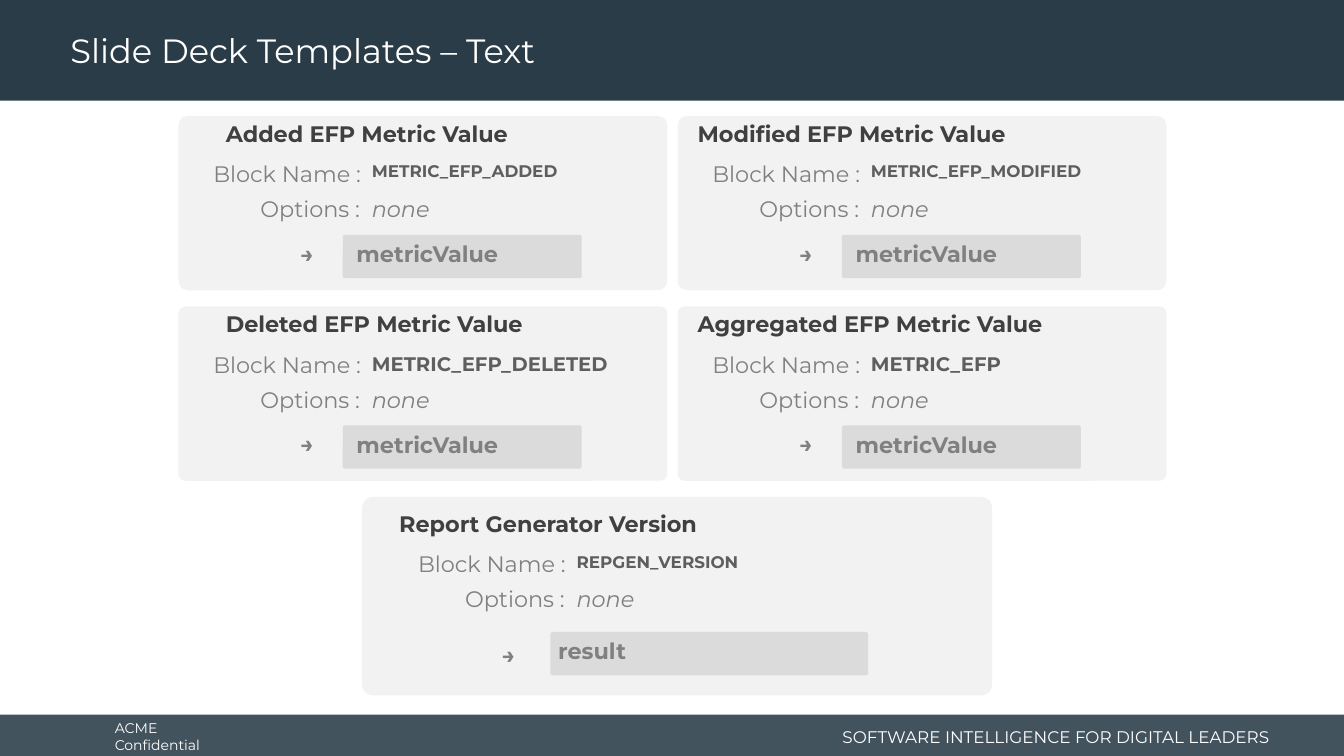
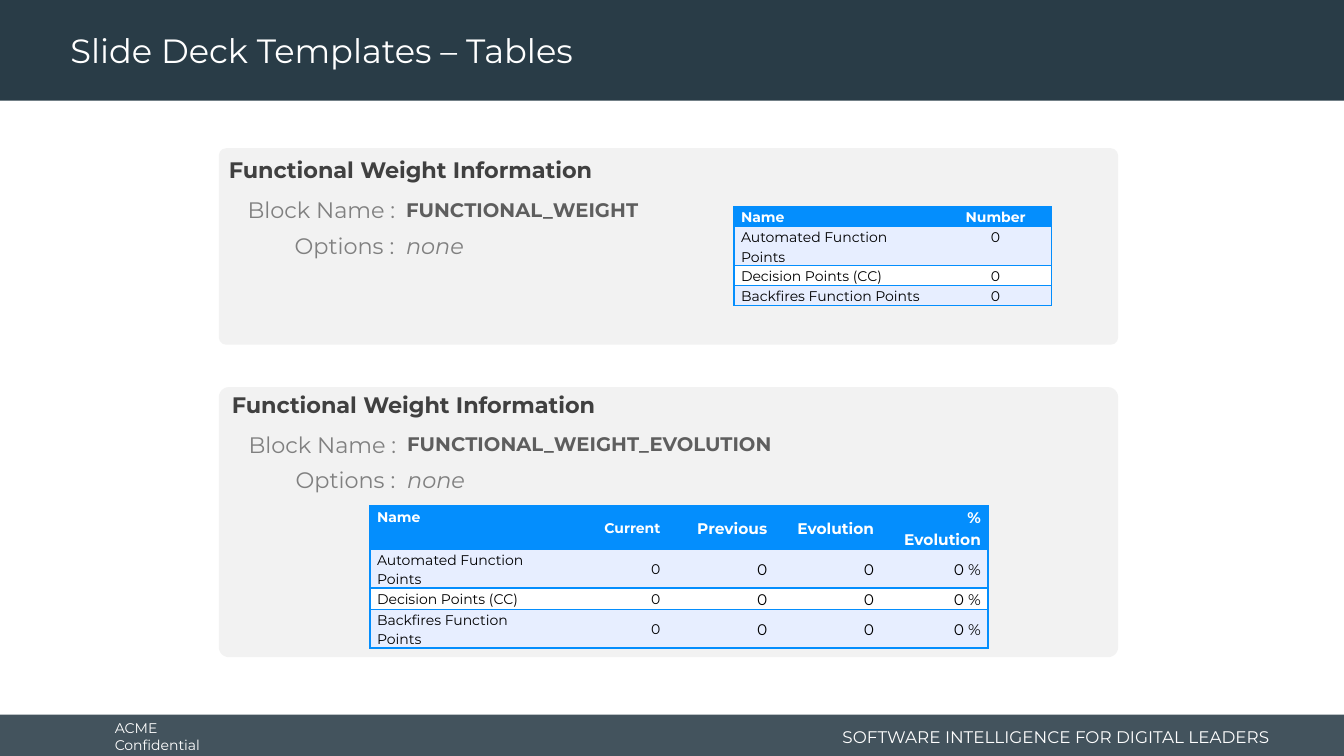
from lxml.etree import SubElement
from pptx import Presentation
from pptx.dml.color import RGBColor
from pptx.enum.shapes import MSO_SHAPE as Shape
from pptx.enum.text import MSO_ANCHOR as Anchor, PP_ALIGN as Align
from pptx.oxml import parse_xml
from pptx.oxml.ns import nsdecls, qn
from pptx.util import Inches, Pt

# Shared look
FONT = "Montserrat"
NAVY, WHITE, BLACK = "293C47", "FFFFFF", "000000"
PANEL, VALUE_FILL = "F2F2F2", "BFBFBF"
HEADING, CODE, MUTED = "404040", "5E5E5E", "808080"
BLUE, PALE_BLUE = "048EFD", "E7EEFF"
CONFIDENTIAL = "ACME Confidential"
SLOGAN = "SOFTWARE INTELLIGENCE FOR DIGITAL LEADERS"

# Slide 1: heading, block name, name size, heading indent; in reading order
METRICS = [
    ("Added EFP Metric Value", "METRIC_EFP_ADDED", 12, 0.27),
    ("Modified EFP Metric Value", "METRIC_EFP_MODIFIED", 12, 0),
    ("Deleted EFP Metric Value", "METRIC_EFP_DELETED", 14, 0.27),
    ("Aggregated EFP Metric Value", "METRIC_EFP", 14, 0),
]
METRIC_LEFT, METRIC_TOP = 1.77, 1.15
METRIC_SIZE = (4.85, 1.73)
METRIC_STEP = (4.95, 1.89)

VERSION = {
    "heading": "Report Generator Version", "block": "REPGEN_VERSION", "size": 12,
    "panel": (3.59, 4.93, 6.25, 1.97), "corner": 0.056,
    "heading_left": 3.76, "fields": (4.04, 5.41),
    "result": ("result", (4.88, 6.31), (5.46, 6.27, 3.15, 0.43), 0.07),
}

# Slide 2: cards, each with its table
WEIGHT = {
    "heading": "Functional Weight Information", "block": "FUNCTIONAL_WEIGHT", "size": 14,
    "panel": (2.17, 1.47, 8.92, 1.95), "corner": 0.038,
    "heading_left": 2.07, "fields": (2.35, 1.9),
}
WEIGHT_TABLE = {
    "place": (7.28, 2.05), "widths": [2.04, 1.11], "heights": [0.2, 0.38, 0.2, 0.2],
    "sizes": [10, 10], "align": Align.CENTER, "anchor": Anchor.TOP,
    "rows": [
        ("Name", "Number"),
        ("Automated Function Points", "0"),
        ("Decision Points (CC)", "0"),
        ("Backfires Function Points", "0"),
    ],
}
EVOLUTION = {
    "heading": "Functional Weight Information", "block": "FUNCTIONAL_WEIGHT_EVOLUTION",
    "size": 14, "panel": (2.17, 3.84, 8.92, 2.68), "corner": 0.038,
    "heading_left": 2.1, "fields": (2.36, 4.23),
}
EVOLUTION_TABLE = {
    "place": (3.67, 5.02), "widths": [1.89] + [1.06] * 4,
    "heights": [0.43, 0.38, 0.2, 0.38],
    "sizes": [10, 10, 11, 11, 11], "align": Align.RIGHT, "anchor": Anchor.MIDDLE,
    "rows": [
        ("Name", "Current", "Previous", "Evolution", "% Evolution"),
        ("Automated Function Points", "0", "0", "0", "0 %"),
        ("Decision Points (CC)", "0", "0", "0", "0 %"),
        ("Backfires Function Points", "0", "0", "0", "0 %"),
    ],
}


def rgb(colour):
    return RGBColor.from_string(colour)


def set_text(frame, text, size, colour, bold=False, italic=False,
             align=Align.LEFT, spacing=None):
    frame.text = text
    paragraph = frame.paragraphs[0]
    paragraph.alignment = align
    if spacing:
        paragraph.line_spacing = spacing
    font = paragraph.runs[0].font
    font.name, font.size, font.color.rgb = FONT, Pt(size), rgb(colour)
    font.bold, font.italic = bold, italic


def add_text(shapes, box, text, size, colour, wrap=True, anchor=Anchor.TOP,
             side=0.1, **style):
    frame = shapes.add_textbox(*map(Inches, box)).text_frame
    frame.word_wrap, frame.vertical_anchor = wrap, anchor
    frame.margin_left = frame.margin_right = Inches(side)
    set_text(frame, text, size, colour, **style)


def add_block(shapes, box, colour, kind=Shape.RECTANGLE, corner=None, opacity=None):
    block = shapes.add_shape(kind, *map(Inches, box))
    block.shadow.inherit = False
    block.line.fill.background()
    block.fill.solid()
    block.fill.fore_color.rgb = rgb(colour)
    if corner:
        block.adjustments[0] = corner
    if opacity:
        tint = block.fill._xPr.find(".//" + qn("a:srgbClr"))
        SubElement(tint, qn("a:alpha"), val=str(opacity * 1000))
    return block


def add_slide(prs, title):
    """Blank slide with the title band and the footer."""
    shapes = prs.slides.add_slide(prs.slide_layouts[6]).shapes
    add_block(shapes, (0, 7.09, 13.33, 0.44), NAVY, opacity=88)
    add_block(shapes, (0, 0, 13.33, 1), NAVY)
    add_text(shapes, (1.04, 7.11, 1.48, 0.4), CONFIDENTIAL, 10, WHITE,
             wrap=False, anchor=Anchor.MIDDLE)
    add_text(shapes, (8.11, 7.15, 4.58, 0.32), SLOGAN, 12, WHITE,
             anchor=Anchor.MIDDLE, align=Align.RIGHT)
    add_text(shapes, (0.6, 0.04, 9.58, 0.96), title, 24, WHITE,
             anchor=Anchor.MIDDLE, spacing=0.9)
    return shapes


def add_card(slide_shapes, card):
    """Panel with heading, block name, options and, if given, a result."""
    shapes = slide_shapes.add_group_shape().shapes
    panel_left, _, panel_width, _ = card["panel"]
    left, top = card["fields"]
    value_left = left + 1.58
    value_width = panel_left + panel_width - value_left
    add_block(shapes, card["panel"], PANEL, Shape.ROUNDED_RECTANGLE, card["corner"])
    add_text(shapes, (card["heading_left"], top - 0.4, 4.6, 0.37), card["heading"],
             16, HEADING, side=0.2, bold=True)

    # Field labels and values
    add_text(shapes, (left, top, 1.67, 0.37), "Block Name :", 16, MUTED,
             wrap=False, align=Align.RIGHT)
    add_text(shapes, (value_left, top + 0.01, value_width, 0.34), card["block"],
             card["size"], CODE, bold=True)
    add_text(shapes, (left + 0.45, top + 0.35, 1.21, 0.37), "Options :", 16, MUTED,
             wrap=False, align=Align.RIGHT)
    add_text(shapes, (value_left, top + 0.35, value_width, 0.37), "none", 16, MUTED,
             italic=True)

    # Result
    if "result" in card:
        result, arrow_place, box, inset = card["result"]
        add_text(shapes, (*arrow_place, 0.48, 0.44), "→", 16, MUTED, bold=True)
        value = add_block(shapes, box, VALUE_FILL, Shape.ROUNDED_RECTANGLE, 0.049, 45)
        frame = value.text_frame
        frame.margin_left, frame.vertical_anchor = Inches(inset), Anchor.TOP
        set_text(frame, result, 16, MUTED, bold=True)


def metric_card(index, heading, block, size, indent):
    row, column = divmod(index, 2)
    left = METRIC_LEFT + column * METRIC_STEP[0]
    top = METRIC_TOP + row * METRIC_STEP[1]
    return {
        "heading": heading, "block": block, "size": size,
        "panel": (left, top, *METRIC_SIZE), "corner": (0.056, 0.041)[row],
        "heading_left": left + indent, "fields": (left + 0.24, top + 0.39),
        "result": ("metricValue", (left + 1.11, top + 1.18),
                   (left + 1.63, top + 1.18, 2.37, 0.43), 0.13),
    }


def set_borders(cell, drawn):
    """Blue line on each side in drawn, no line on the others."""
    properties = cell._tc.get_or_add_tcPr()
    for position, side in enumerate("LRTB"):
        paint = (f'<a:solidFill><a:srgbClr val="{BLUE}"/></a:solidFill>'
                 if side in drawn else "<a:noFill/>")
        properties.insert(position, parse_xml(
            f'<a:ln{side} {nsdecls("a")} w="12700">{paint}</a:ln{side}>'))


def add_grid(shapes, grid):
    rows, widths, heights = grid["rows"], grid["widths"], grid["heights"]
    size = map(Inches, (*grid["place"], sum(widths), sum(heights)))
    table = shapes.add_table(len(rows), len(widths), *size).table
    for column, width in zip(table.columns, widths):
        column.width = Inches(width)
    for r, (row, height) in enumerate(zip(rows, heights)):
        table.rows[r].height = Inches(height)
        header = r == 0
        for c, text in enumerate(row):
            cell = table.cell(r, c)
            cell.margin_left = cell.margin_right = Inches(0.07)
            cell.margin_top = cell.margin_bottom = 0
            cell.vertical_anchor = grid["anchor"] if c else Anchor.TOP
            cell.fill.solid()
            cell.fill.fore_color.rgb = rgb(BLUE if header else PALE_BLUE if r % 2 else WHITE)
            set_text(cell.text_frame, text, grid["sizes"][c], WHITE if header else BLACK,
                     bold=header, align=grid["align"] if c else Align.LEFT, spacing=1.15)
            outer = ("L" if c == 0 else "") + ("R" if c == len(row) - 1 else "")
            set_borders(cell, "TB" + outer)


def main():
    prs = Presentation()
    prs.slide_width, prs.slide_height = Inches(13.33), Inches(7.5)

    # Text blocks
    texts = add_slide(prs, "Slide Deck Templates – Text")
    for index, metric in enumerate(METRICS):
        add_card(texts, metric_card(index, *metric))
    add_card(texts, VERSION)

    # Table blocks
    tables = add_slide(prs, "Slide Deck Templates – Tables")
    for card, grid in ((WEIGHT, WEIGHT_TABLE), (EVOLUTION, EVOLUTION_TABLE)):
        add_card(tables, card)
        add_grid(tables, grid)

    prs.save("out.pptx")


if __name__ == "__main__":
    main()
